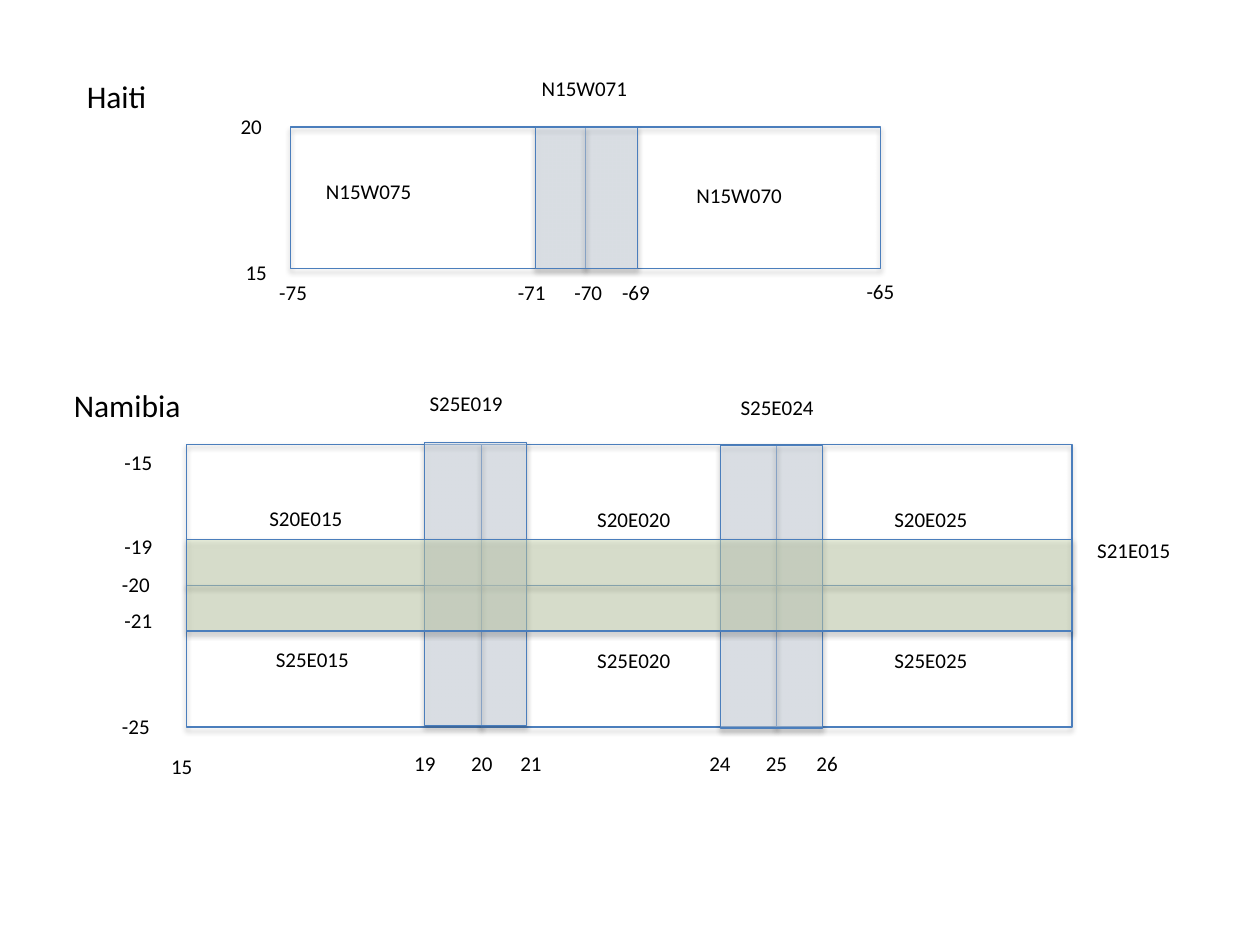
from lxml import etree
from pptx import Presentation
from pptx.dml.color import RGBColor
from pptx.enum.shapes import MSO_SHAPE as Shape
from pptx.enum.text import MSO_AUTO_SIZE as AutoSize
from pptx.oxml.ns import qn
from pptx.util import Cm, Pt

COLORS = {"line": "4B7EBC", "column": "DCE6F2", "row": "D7E4BD", "text": "000000"}
TILE_W, TILE_H = 5.95, 2.85
OVERLAP_W = 2.06
HAITI_LEFT, HAITI_TOP = 5.85, 2.56
NAMIBIA_LEFT, NAMIBIA_TOP = 3.76, 8.96

deck = Presentation()
deck.slide_width, deck.slide_height = Cm(25.4), Cm(19.05)
page = deck.slides.add_slide(deck.slide_layouts[6])


def add_area(left, top, width, height, fill=None):
    """Add an outlined rectangle with a soft shadow and an optional see-through fill."""
    area = page.shapes.add_shape(Shape.RECTANGLE, Cm(left), Cm(top), Cm(width), Cm(height))
    area.line.color.rgb = RGBColor.from_string(COLORS["line"])
    area.line.width = Pt(0.75)
    if fill:
        area.fill.solid()
        area.fill.fore_color.rgb = RGBColor.from_string(COLORS[fill])
        fill_color = area.fill._xPr.find(qn("a:solidFill"))[0]
        etree.SubElement(fill_color, qn("a:alpha"), val="46000")
    else:
        area.fill.background()
    area.shadow.inherit = False
    effects = area._element.spPr.find(qn("a:effectLst"))
    shadow = etree.SubElement(effects, qn("a:outerShdw"), blurRad=str(Pt(3.1)),
                              dist=str(Pt(1.8)), dir="5400000", rotWithShape="0")
    shadow_color = etree.SubElement(shadow, qn("a:srgbClr"), val="000000")
    etree.SubElement(shadow_color, qn("a:alpha"), val="35000")


def add_label(text, left, top, width, height=0.77, size=12):
    """Add a one-line text label."""
    box = page.shapes.add_textbox(Cm(left), Cm(top), Cm(width), Cm(height))
    box.text_frame.word_wrap = False
    box.text_frame.auto_size = AutoSize.SHAPE_TO_FIT_TEXT
    para = box.text_frame.paragraphs[0]
    para.text = text
    para.font.name = "Calibri"
    para.font.size = Pt(size)
    para.font.color.rgb = RGBColor.from_string(COLORS["text"])


# Base tiles
for column in range(3):
    for row in range(2):
        add_area(NAMIBIA_LEFT + column * TILE_W, NAMIBIA_TOP + row * TILE_H, TILE_W, TILE_H)
for column in range(2):
    add_area(HAITI_LEFT + column * TILE_W, HAITI_TOP, TILE_W, TILE_H)

# Overlapping tiles
add_area(10.79, HAITI_TOP, OVERLAP_W, TILE_H, "column")
for left, top in [(8.56, 8.92), (14.52, 8.98)]:
    add_area(left, top, OVERLAP_W, 2 * TILE_H, "column")
add_area(NAMIBIA_LEFT, 10.87, 3 * TILE_W, 1.85, "row")

# Country names
add_label("Haiti", 1.5, 1.42, 1.73, 1.02, 18)
add_label("Namibia", 1.24, 7.65, 2.69, 1.02, 18)

# Tile names and degrees, grouped by label width
labels = {
    2.26: [("N15W075", 6.32, 3.48), ("N15W070", 13.79, 3.56), ("N15W071", 10.67, 1.4)],
    2.0: [("S20E015", 5.18, 10.06), ("S20E020", 11.79, 10.08), ("S20E025", 17.78, 10.08),
          ("S25E015", 5.31, 12.9), ("S25E020", 11.79, 12.93), ("S25E025", 17.78, 12.93),
          ("S25E019", 8.41, 7.75), ("S25E024", 14.68, 7.82), ("S21E015", 21.87, 10.72)],
    1.07: [("-75", 5.38, 5.51), ("-71", 10.19, 5.51), ("-70", 11.33, 5.51),
           ("-69", 12.29, 5.51), ("-65", 17.22, 5.49),
           ("-15", 2.26, 8.94), ("-19", 2.26, 10.64), ("-20", 2.21, 11.4),
           ("-21", 2.26, 12.12), ("-25", 2.21, 14.25)],
    0.94: [("20", 4.6, 2.16), ("15", 4.7, 5.11),
           ("15", 3.2, 15.06), ("19", 8.1, 15.01), ("20", 9.25, 15.01),
           ("21", 10.24, 15.01), ("24", 14.05, 15.01), ("25", 15.19, 15.01),
           ("26", 16.21, 15.01)],
}
for width, group in labels.items():
    for text, left, top in group:
        add_label(text, left, top, width)

deck.save("out.pptx")
